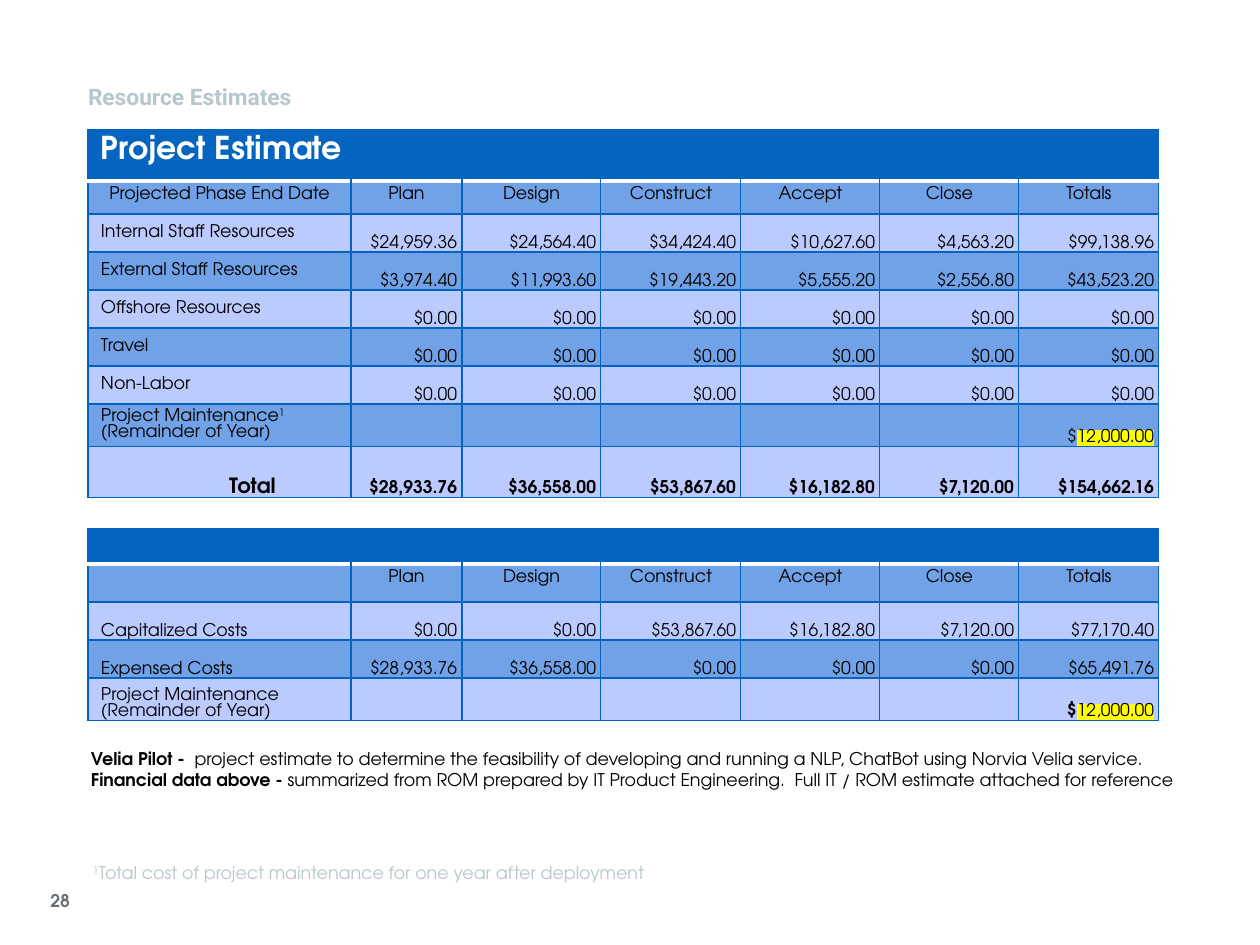
"""Builds the project resource estimate slide with its two cost tables."""
from dataclasses import dataclass

from lxml import etree
from pptx import Presentation
from pptx.dml.color import RGBColor
from pptx.enum.text import MSO_ANCHOR, PP_ALIGN
from pptx.oxml.ns import qn
from pptx.util import Emu, Pt

LEFT, CENTER, RIGHT = PP_ALIGN.LEFT, PP_ALIGN.CENTER, PP_ALIGN.RIGHT
TOP, MIDDLE, BOTTOM = MSO_ANCHOR.TOP, MSO_ANCHOR.MIDDLE, MSO_ANCHOR.BOTTOM
EMU_PER_PX = 914400 / 126


@dataclass(frozen=True)
class Theme:
    font: str = "TeX Gyre Adventor"
    heading_font: str = "Roboto"
    ink: str = "000000"
    white: str = "FFFFFF"
    muted: str = "B6C8CB"
    page_number: str = "686F76"
    bar: str = "0365C0"
    grid: str = "0063BF"
    dark_band: str = "71A1E6"
    light_band: str = "BBCAFF"
    marker: str = "FFFF00"
    body_size: int = 10
    total_size: int = 12
    heading_size: int = 13
    title_size: int = 18
    grid_width: float = 0.75
    rule_width: float = 2


THEME = Theme()


def px(length):
    return Emu(round(length * EMU_PER_PX))


def write(paragraph, text, size=THEME.body_size, color=THEME.ink, bold=False,
          font=THEME.font, highlight=None, superscript=False):
    run = paragraph.add_run()
    run.text = text
    run.font.size, run.font.bold, run.font.name = Pt(size), bold, font
    run.font.color.rgb = RGBColor.from_string(color)
    properties = run.font._element
    if superscript:
        properties.set("baseline", "30000")
    if highlight:
        marker = etree.Element(qn("a:highlight"))
        etree.SubElement(marker, qn("a:srgbClr"), val=highlight)
        properties.find(qn("a:solidFill")).addnext(marker)


def set_margins(target, margins):
    (target.margin_left, target.margin_top,
     target.margin_right, target.margin_bottom) = map(px, margins)


def set_borders(cell, **special):
    properties = cell._tc.get_or_add_tcPr()
    for index, side in enumerate("LRTB"):
        color, width = special.get(side, (THEME.grid, THEME.grid_width))
        line = etree.Element(qn(f"a:ln{side}"), w=str(Pt(width)))
        fill = etree.SubElement(line, qn("a:solidFill"))
        etree.SubElement(fill, qn("a:srgbClr"), val=color)
        properties.insert(index, line)


class SlideBuilder:
    def __init__(self, slide, theme):
        self.slide, self.theme = slide, theme

    def text(self, box, paragraphs, margins, align=LEFT, spacing=None):
        frame = self.slide.shapes.add_textbox(*map(px, box)).text_frame
        frame.word_wrap = True
        set_margins(frame, margins)
        for index, runs in enumerate(paragraphs):
            paragraph = frame.add_paragraph() if index else frame.paragraphs[0]
            paragraph.alignment, paragraph.line_spacing = align, spacing
            for text, style in runs:
                write(paragraph, text, **style)

    def cell(self, cell, runs, fill, align=LEFT, anchor=TOP, margins=(13, 6, 13, 6)):
        cell.fill.solid()
        cell.fill.fore_color.rgb = RGBColor.from_string(fill)
        cell.vertical_anchor = anchor
        set_margins(cell, margins)
        paragraph = cell.text_frame.paragraphs[0]
        paragraph.alignment = align
        for text, style in runs:
            write(paragraph, text, **style)
        if not runs:
            paragraph._p.get_or_add_endParaRPr().set("sz", str(self.theme.body_size * 100))

    def table(self, left, top, columns, heights, title, header, rows, label_anchor):
        theme = self.theme
        frame = self.slide.shapes.add_table(len(heights), len(columns), px(left), px(top),
                                            px(sum(columns)), px(sum(heights)))
        table = frame.table
        table.first_row = table.horz_banding = False
        for column, width in zip(table.columns, columns):
            column.width = px(width)
        for row, height in zip(table.rows, heights):
            row.height = px(height)
        rule = (theme.white, theme.rule_width)
        table.cell(0, 0).merge(table.cell(0, len(columns) - 1))
        self.cell(table.cell(0, 0), title, theme.bar)
        for index in range(len(columns)):
            set_borders(table.cell(0, index), B=rule)
            cell = table.cell(1, index)
            self.cell(cell, as_runs(header[index]), theme.dark_band, CENTER)
            set_borders(cell, T=rule)
        for row_index, values in enumerate(rows, 2):
            fill = theme.dark_band if row_index % 2 else theme.light_band
            for index, value in enumerate(values):
                cell = table.cell(row_index, index)
                if index:
                    self.cell(cell, as_runs(value), fill, RIGHT, BOTTOM, (0, 0, 5, 0))
                else:
                    self.cell(cell, as_runs(value), fill, LEFT, label_anchor, (13, 0, 0, 0))
                set_borders(cell)
        return table


def as_runs(value):
    if isinstance(value, str):
        return [(value, {})] if value else []
    return value


def main():
    presentation = Presentation()
    presentation.slide_width, presentation.slide_height = px(1260), px(945)
    slide = presentation.slides.add_slide(presentation.slide_layouts[6])
    builder = SlideBuilder(slide, THEME)
    bold, muted = {"bold": True}, {"color": THEME.muted}
    marked = {"highlight": THEME.marker}
    columns = [263, 111, 139, 140, 139, 139, 140]
    phases = ["Plan", "Design", "Construct", "Accept", "Close", "Totals"]
    blanks, zeros = [""] * 5, ["$0.00"] * 6
    totals = ["$28,933.76", "$36,558.00", "$53,867.60", "$16,182.80", "$7,120.00", "$154,662.16"]

    builder.text((88, 66, 334, 47),
                 [[("Resource Estimates", {**muted, **bold, "size": THEME.heading_size,
                                           "font": THEME.heading_font})]],
                 (0, 0, 0, 0), spacing=1.6)
    builder.text((27, 887, 48, 25), [[("28", {**bold, "color": THEME.page_number})]],
                 (5, 3, 5, 3), RIGHT)

    title_style = {**bold, "size": THEME.title_size, "color": THEME.white}
    estimate_rows = [
        ["Internal Staff Resources", "$24,959.36", "$24,564.40", "$34,424.40",
         "$10,627.60", "$4,563.20", "$99,138.96"],
        ["External Staff Resources", "$3,974.40", "$11,993.60", "$19,443.20",
         "$5,555.20", "$2,556.80", "$43,523.20"],
        *([label, *zeros] for label in ("Offshore Resources", "Travel", "Non-Labor")),
        [[("Project Maintenance", {}), ("1", {"superscript": True}), (" (Remainder of Year)", {})],
         *blanks, [("$", {}), ("12,000.00", marked)]],
        [[("Total", {**bold, "size": THEME.total_size})], *([(total, bold)] for total in totals)],
    ]
    estimate = builder.table(88, 130, columns, [51, 29] + [38] * 5 + [37, 51],
                             [("Project Estimate", title_style)],
                             ["Projected Phase End Date", *phases], estimate_rows, MIDDLE)
    total_label = estimate.cell(8, 0)
    total_label.vertical_anchor = BOTTOM
    total_label.margin_left = px(66)
    total_label.text_frame.paragraphs[0].alignment = CENTER

    cost_rows = [
        ["Capitalized Costs", "$0.00", "$0.00", *totals[2:5], "$77,170.40"],
        ["Expensed Costs", *totals[:2], *zeros[:3], "$65,491.76"],
        ["Project Maintenance (Remainder of Year)", *blanks, [("$", bold), ("12,000.00", marked)]],
    ]
    builder.table(88, 529, columns, [35] + [38] * 3 + [37], [], ["", *phases], cost_rows, BOTTOM)

    builder.text((85, 854, 1090, 35),
                 [[("1", {**muted, "superscript": True}),
                   ("Total cost of project maintenance for one year after deployment", muted)]],
                 (8, 8, 8, 8))
    builder.text((83, 741, 1100, 163), [
        [("Velia Pilot -  ", bold),
         ("project estimate to determine the feasibility of developing and running a NLP, "
          "ChatBot using Norvia Velia service.", {})],
        [("Financial data above - ", bold),
         ("summarized from ROM prepared by IT Product Engineering.  "
          "Full IT / ROM estimate attached for reference", {})],
    ], (8, 7, 8, 8))
    presentation.save("out.pptx")


if __name__ == "__main__":
    main()
